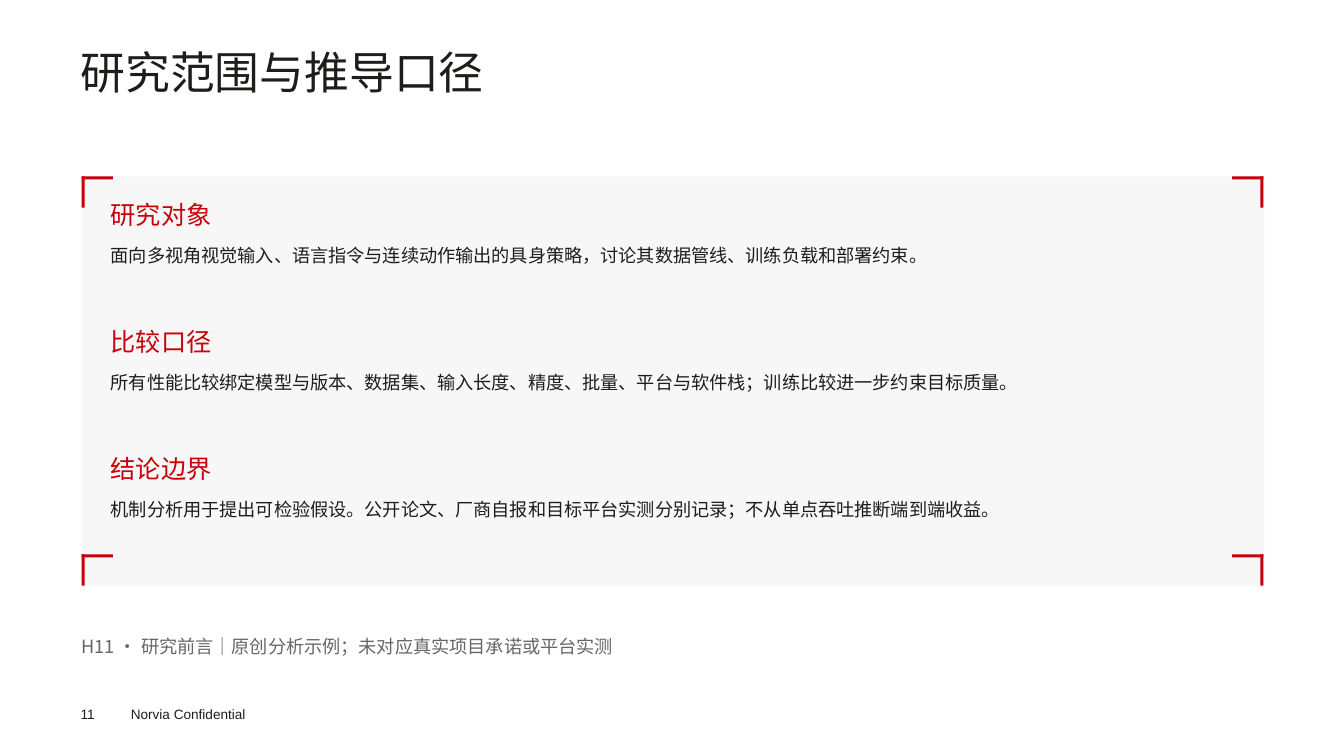
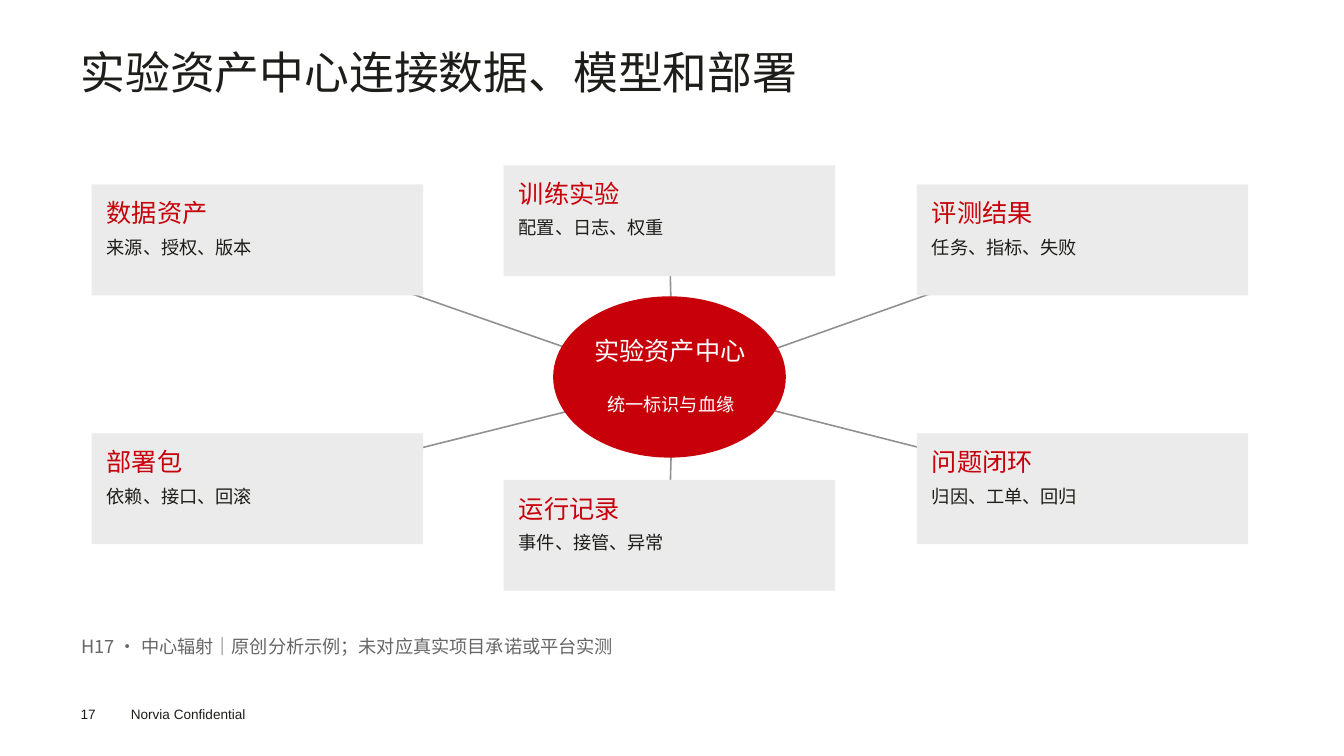
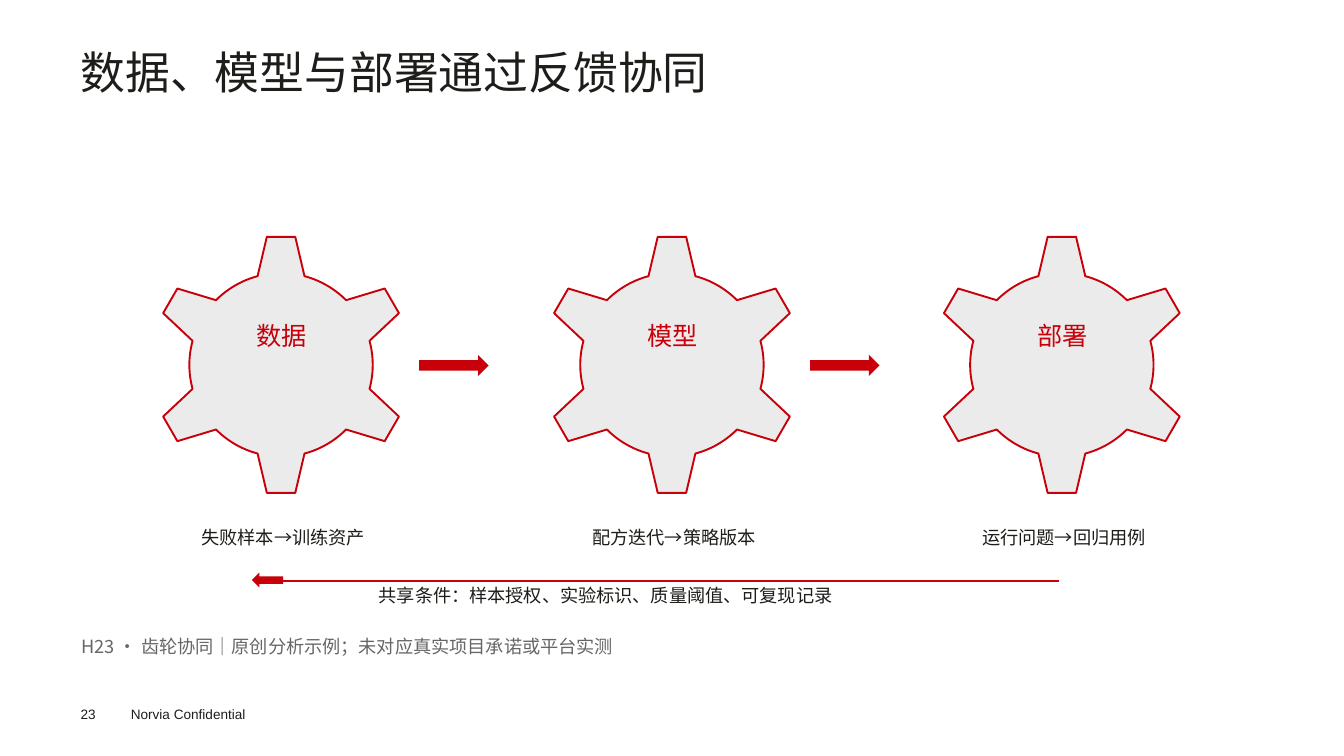
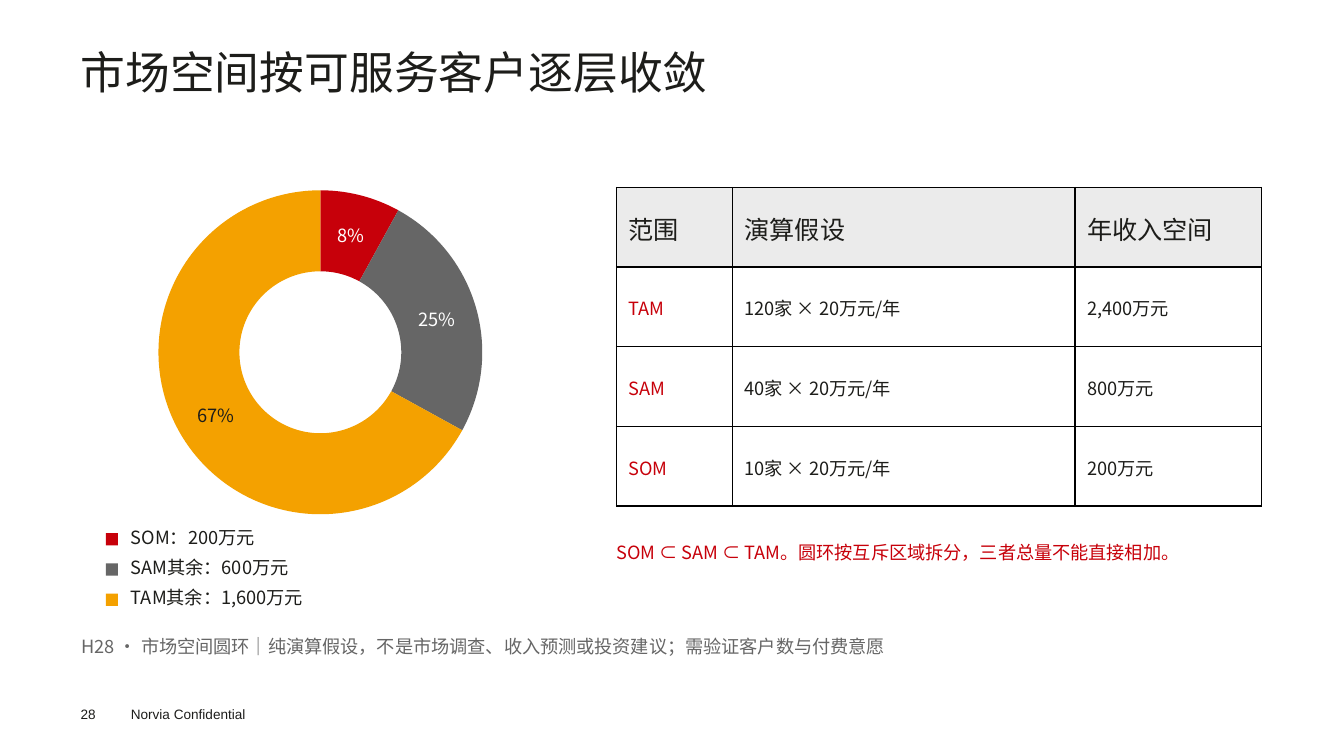
from lxml import etree
from pptx import Presentation
from pptx.chart.data import CategoryChartData
from pptx.dml.color import RGBColor
from pptx.enum import chart as charts, shapes, text
from pptx.oxml.ns import qn
from pptx.util import Pt

PX = 9144
FONT = "Noto Sans CJK SC"
COLORS = {
    "red": "C7000A", "ink": "1D1D1A", "footer": "1D1D1B", "grey": "666666",
    "line": "919191", "card": "EBEBEB", "panel": "F7F7F7", "amber": "F4A100",
    "white": "FFFFFF", "black": "000000",
}
KIND = shapes.MSO_SHAPE
CENTER = text.PP_ALIGN.CENTER
CONFIDENTIAL = "Norvia Confidential"
EXAMPLE = "原创分析示例；未对应真实项目承诺或平台实测"

SCOPE = [
    ("研究对象", "面向多视角视觉输入、语言指令与连续动作输出的具身策略，讨论其数据管线、训练负载和部署约束。"),
    ("比较口径", "所有性能比较绑定模型与版本、数据集、输入长度、精度、批量、平台与软件栈；训练比较进一步约束目标质量。"),
    ("结论边界", "机制分析用于提出可检验假设。公开论文、厂商自报和目标平台实测分别记录；不从单点吞吐推断端到端收益。"),
]
HUB = ("实验资产中心", "统一标识与血缘")
ASSETS = [
    ("数据资产", "来源、授权、版本", 91, 183),
    ("训练实验", "配置、日志、权重", 500, 164),
    ("评测结果", "任务、指标、失败", 910, 183),
    ("部署包", "依赖、接口、回滚", 91, 430),
    ("运行记录", "事件、接管、异常", 500, 476),
    ("问题闭环", "归因、工单、回归", 910, 430),
]
GEARS = [
    ("数据", "失败样本→训练资产", 149),
    ("模型", "配方迭代→策略版本", 537),
    ("部署", "运行问题→回归用例", 924),
]
SHARED_TERMS = "共享条件：样本授权、实验标识、质量阈值、可复现记录"
MARKET = [
    ("SOM", "200万元", 8, "red", "white"),
    ("SAM其余", "600万元", 25, "grey", "white"),
    ("TAM其余", "1,600万元", 67, "amber", "ink"),
]
ASSUMPTIONS = [
    ("范围", "演算假设", "年收入空间"),
    ("TAM", "120家 × 20万元/年", "2,400万元"),
    ("SAM", "40家 × 20万元/年", "800万元"),
    ("SOM", "10家 × 20万元/年", "200万元"),
]
NESTING = "SOM ⊂ SAM ⊂ TAM。圆环按互斥区域拆分，三者总量不能直接相加。"


def rgb(color):
    return RGBColor.from_string(COLORS[color])


def px(*lengths):
    return [round(length * PX) for length in lengths]


def style(font, size, color, face=FONT):
    font.size = Pt(size)
    font.color.rgb = rgb(color)
    font.name = face
    latin = font._element.find(qn("a:latin"))
    east_asian = etree.Element(qn("a:ea"), typeface=face)
    latin.addnext(east_asian)


def write(slide, words, box, size=13, color="ink", align=None, face=FONT, inset=0, leading=None):
    frame = slide.shapes.add_textbox(*px(*box)).text_frame
    frame.word_wrap = True
    frame.margin_left = frame.margin_right = inset * PX
    frame.margin_top = frame.margin_bottom = inset * PX // 2
    line = frame.paragraphs[0]
    line.text = words
    line.alignment = align
    if leading:
        line.line_spacing = Pt(leading)
    style(line.font, size, color, face)


def draw(slide, kind, box, fill, outline=None, weight=1.35):
    figure = slide.shapes.add_shape(kind, *px(*box))
    figure.shadow.inherit = False
    figure.fill.solid()
    figure.fill.fore_color.rgb = rgb(fill)
    if outline:
        figure.line.color.rgb = rgb(outline)
        figure.line.width = Pt(weight)
    else:
        figure.line.fill.background()


def connect(slide, start, end, color, weight):
    link = slide.shapes.add_connector(shapes.MSO_CONNECTOR.STRAIGHT, *px(*start, *end))
    link.line.color.rgb = rgb(color)
    link.line.width = Pt(weight)
    etree.SubElement(link._element.spPr, qn("a:effectLst"))


def new_slide(deck, number, title, note):
    slide = deck.slides.add_slide(deck.slide_layouts[6])
    write(slide, CONFIDENTIAL, (120, 695, 160, 27), 9.7, "footer", face="Arial", inset=10)
    write(slide, str(number), (80, 700, 55, 16), 9.7, "footer", face="Arial")
    write(slide, title, (80, 50, 1175, 109), 32, leading=34.3)
    write(slide, f"H{number} · {note}", (81, 630, 1174, 45), color="grey")
    return slide


def build_scope(deck):
    slide = new_slide(deck, 11, "研究范围与推导口径", f"研究前言｜{EXAMPLE}")
    draw(slide, KIND.RECTANGLE, (81, 175, 1174, 406), "panel")
    for top in (175, 550):
        for bar_left, post_left in ((81, 81), (1223, 1251)):
            draw(slide, KIND.RECTANGLE, (bar_left, top, 31, 3), "red")
            draw(slide, KIND.RECTANGLE, (post_left, top, 3, 31), "red")
    for row, (heading, detail) in enumerate(SCOPE):
        top = 198 + 126 * row
        write(slide, heading, (110, top, 1116, 38), 18, "red")
        write(slide, detail, (110, top + 44, 1116, 50))


def build_hub(deck):
    slide = new_slide(deck, 17, "实验资产中心连接数据、模型和部署", f"中心辐射｜{EXAMPLE}")
    width, height = 329, 110
    for _, _, left, top in ASSETS:
        connect(slide, (left + width // 2, top + height // 2), (668, 382), "line", 1.13)
    draw(slide, KIND.OVAL, (549, 294, 231, 160), "red")
    name, role = HUB
    write(slide, name, (570, 333, 190, 42), 18, "white", CENTER)
    write(slide, role, (571, 390, 190, 31), 13, "white", CENTER)
    for heading, detail, left, top in ASSETS:
        draw(slide, KIND.RECTANGLE, (left, top, width, height), "card")
        write(slide, heading, (left + 15, top + 13, 300, 33), 18, "red")
        write(slide, detail, (left + 15, top + 51, 300, 53))


def build_gears(deck):
    slide = new_slide(deck, 23, "数据、模型与部署通过反馈协同", f"齿轮协同｜{EXAMPLE}")
    for heading, loop, left in GEARS:
        draw(slide, KIND.GEAR_6, (left, 232, 260, 260), "card", "red")
        write(slide, heading, (left + 48, 318, 165, 42), 18, "red", CENTER)
        write(slide, loop, (left - 37, 522, 338, 68), align=CENTER)
    for _, _, left in GEARS[:-1]:
        draw(slide, KIND.RIGHT_ARROW, (left + 267, 352, 69, 21), "red")
    connect(slide, (261, 576), (1051, 576), "red", 1.5)
    draw(slide, KIND.LEFT_ARROW, (250, 568, 31, 15), "red")
    write(slide, SHARED_TERMS, (376, 580, 708, 36))


def add_ring(slide):
    data = CategoryChartData()
    data.categories = [scope for scope, *_ in MARKET]
    data.add_series("Series 1", [share for _, _, share, _, _ in MARKET])
    ring = slide.shapes.add_chart(charts.XL_CHART_TYPE.DOUGHNUT, *px(81, 175, 474, 349), data).chart
    ring.has_legend = ring.has_title = False
    style(ring.font, 10, "ink", "Calibri")
    ring.plots[0].vary_by_categories = True
    for index, (_, _, _, fill, label) in enumerate(MARKET):
        point = ring.plots[0].series[0].points[index]
        point.format.fill.solid()
        point.format.fill.fore_color.rgb = rgb(fill)
        point.format.line.fill.background()
        style(point.data_label.font, 13, label)
    root = ring._chartSpace
    for tag, value in (("c:showVal", "0"), ("c:showPercent", "1"), ("c:holeSize", "62")):
        for setting in root.iter(qn(tag)):
            setting.set("val", value)


def add_borders(cell):
    properties = cell._tc.get_or_add_tcPr()
    for side in ("lnL", "lnR", "lnT", "lnB"):
        border = etree.SubElement(properties, qn(f"a:{side}"), w="12700")
        paint = etree.SubElement(border, qn("a:solidFill"))
        etree.SubElement(paint, qn("a:srgbClr"), val=COLORS["black"])


def add_assumptions(slide):
    table = slide.shapes.add_table(4, 3, *px(612, 186, 640, 316)).table
    table.first_row = table.horz_banding = False
    for column, width in zip(table.columns, px(115, 340, 185)):
        column.width = width
    for r, row in enumerate(ASSUMPTIONS):
        for c, words in enumerate(row):
            cell = table.cell(r, c)
            add_borders(cell)
            cell.fill.solid()
            cell.fill.fore_color.rgb = rgb("white" if r else "card")
            cell.vertical_anchor = text.MSO_ANCHOR.MIDDLE
            cell.margin_left, cell.margin_top, cell.margin_right, cell.margin_bottom = px(12, 10, 12, 8)
            cell.text = words
            style(cell.text_frame.paragraphs[0].font, 13 if r else 18, "red" if r and not c else "ink")


def build_market(deck):
    slide = new_slide(deck, 28, "市场空间按可服务客户逐层收敛",
                      "市场空间圆环｜纯演算假设，不是市场调查、收入预测或投资建议；需验证客户数与付费意愿")
    add_ring(slide)
    for row, (scope, amount, _, fill, _) in enumerate(MARKET):
        top = 522 + 30 * row
        draw(slide, KIND.RECTANGLE, (105, top + 7, 12, 12), fill)
        write(slide, f"{scope}：{amount}", (130, top, 423, 23))
    add_assumptions(slide)
    write(slide, NESTING, (612, 537, 638, 66), color="red")


def main():
    deck = Presentation()
    deck.slide_width, deck.slide_height = px(1334, 750)
    for build in (build_scope, build_hub, build_gears, build_market):
        build(deck)
    deck.save("out.pptx")


if __name__ == "__main__":
    main()
